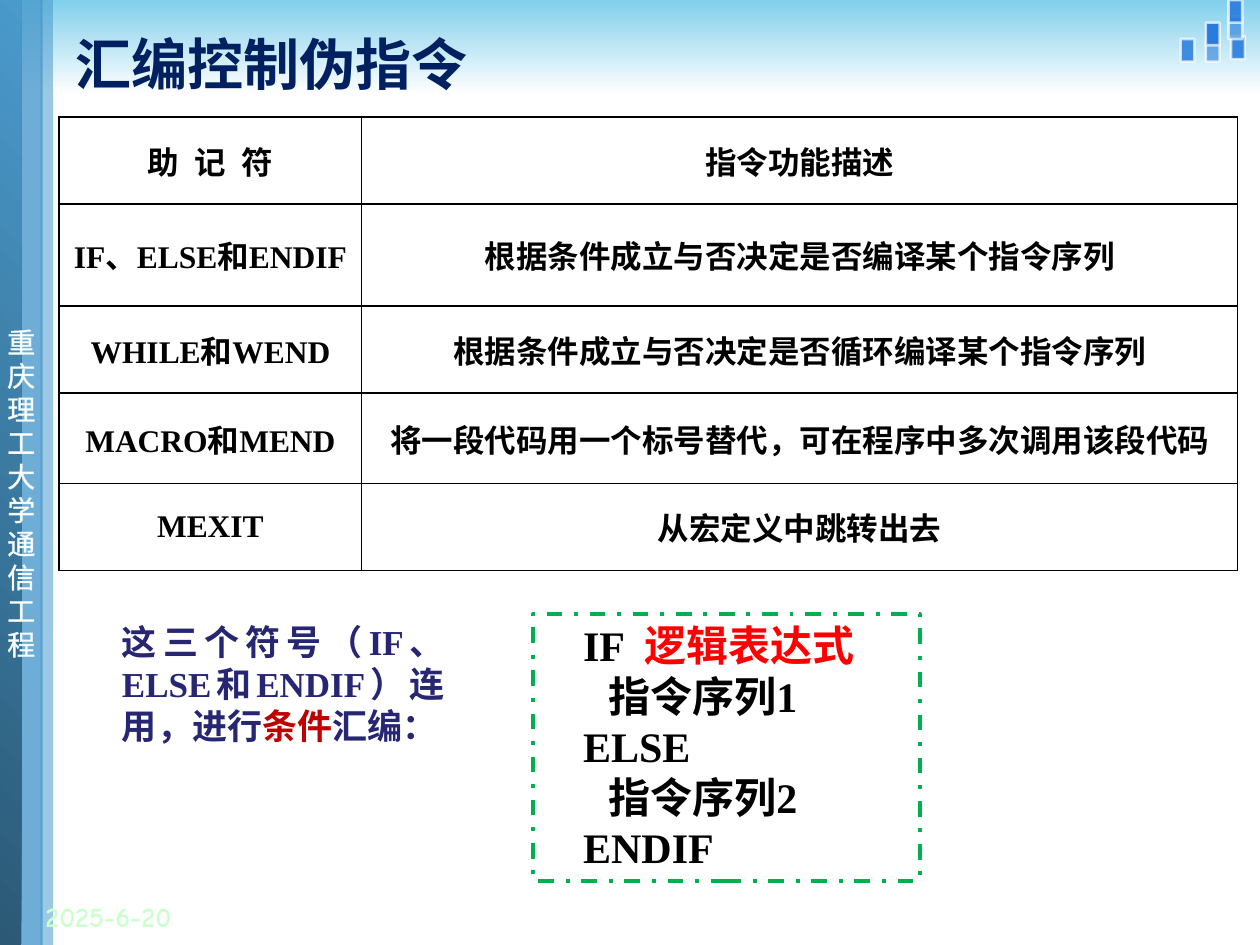
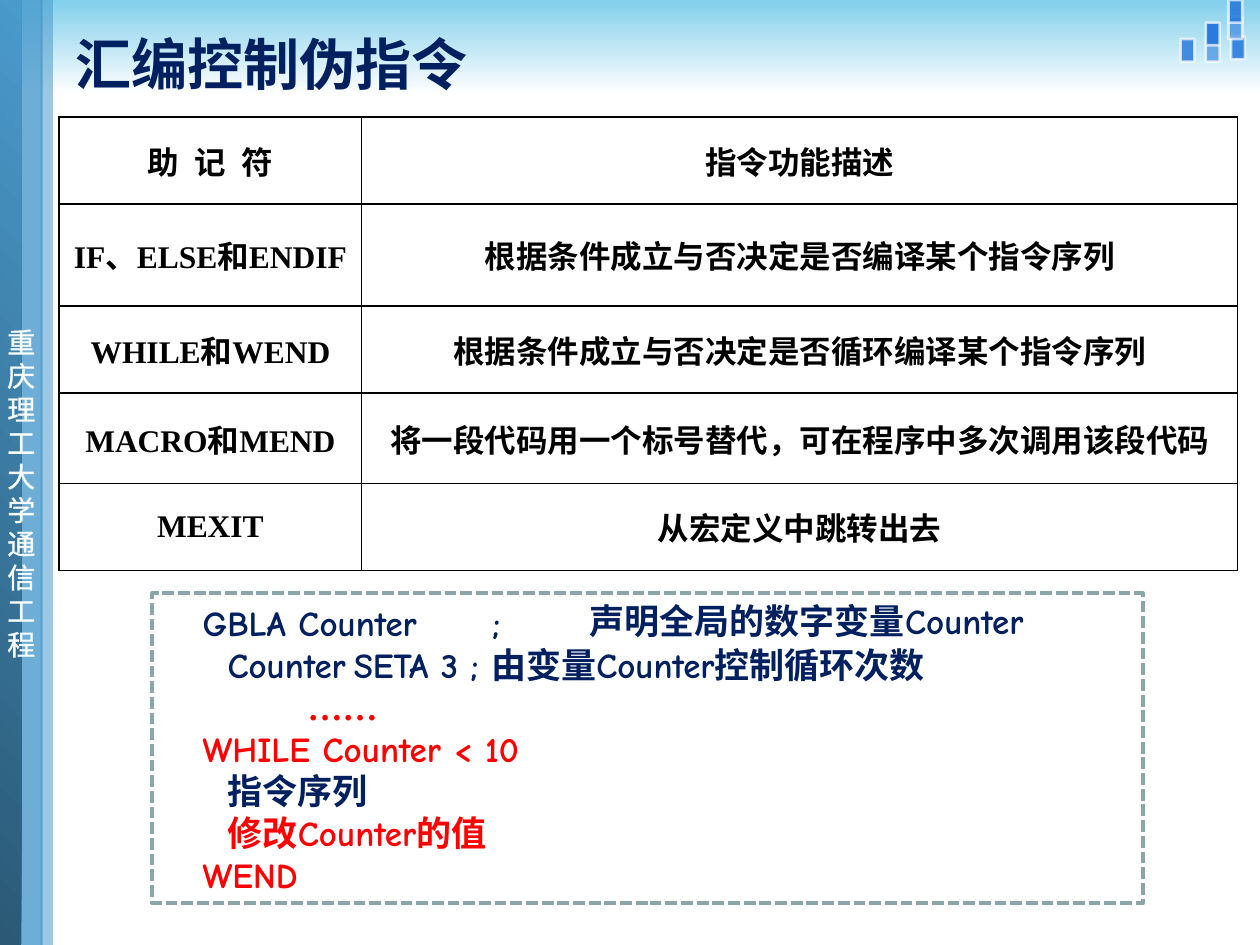
from pptx import Presentation
from pptx.dml.color import RGBColor
from pptx.enum.dml import MSO_LINE as Dash
from pptx.enum.shapes import MSO_SHAPE as Kind
from pptx.enum.text import MSO_ANCHOR as Anchor, MSO_AUTO_SIZE as Fit, PP_ALIGN as Align
from pptx.oxml import parse_xml
from pptx.oxml.ns import nsdecls, qn
from pptx.util import Pt

NAVY = RGBColor(0x00, 0x20, 0x60)
INDIGO = RGBColor(0x26, 0x26, 0x73)
BLACK = RGBColor(0, 0, 0)
WHITE = RGBColor(0xFF, 0xFF, 0xFF)
RED = RGBColor(0xFF, 0, 0)
CRIMSON = RGBColor(0xC0, 0, 0)
GREEN = RGBColor(0x00, 0xB0, 0x50)
SAGE = RGBColor(0x8A, 0xA6, 0xA8)
MINT = RGBColor(0xCD, 0xFF, 0xCD)
SKY = RGBColor(0x81, 0xCF, 0xEB)
STEEL = RGBColor(0x4A, 0x9A, 0xCC)
DEEP = RGBColor(0x2B, 0x59, 0x76)
BLUE = RGBColor(0x29, 0x7C, 0xDD)
GLOW = RGBColor(0xDA, 0xED, 0xEF)

ARIAL, COMIC, TIMES = "Arial", "Comic Neue", "Times New Roman"
INDENT = 21.6

# left, top, opacity
TILES = [(703.44, 20.88, 90), (689.04, 22.32, 60), (674.64, 22.32, 85),
         (689.04, 12.96, 100), (702, 9.36, 60), (702, 0, 90)]

COLS = [172.8, 500.4]
ROWS = [
    (49.68, "助 记 符", "指令功能描述"),
    (58.32, "IF、ELSE和ENDIF", "根据条件成立与否决定是否编译某个指令序列"),
    (49.68, "WHILE和WEND", "根据条件成立与否决定是否循环编译某个指令序列"),
    (51.84, "MACRO和MEND", "将一段代码用一个标号替代，可在程序中多次调用该段代码"),
    (49.68, "MEXIT", "从宏定义中跳转出去"),
]


def fade(host, pct):
    """Set the opacity of the solid fill held by an XML element."""
    color = host.find(qn("a:solidFill"))[0]
    color.append(parse_xml(f'<a:alpha {nsdecls("a")} val="{pct * 1000}"/>'))


def outline(tag, width, color):
    return parse_xml(f'<a:{tag} {nsdecls("a")} w="{Pt(width)}"><a:solidFill>'
                     f'<a:srgbClr val="{color}"/></a:solidFill></a:{tag}>')


def put(para, text, size=20, font=COMIC, color=NAVY, bold=True, edge=None, gap=0):
    """Add one run; edge is an outline colour, gap the letter spacing in points."""
    run = para.add_run()
    run.text = text
    face = run.font
    face.size, face.name, face.bold = Pt(size), font, bold
    face.color.rgb = color
    props = run.font._element
    if edge is not None:
        props.insert(0, outline("ln", 0.8, edge))
    if gap:
        props.set("spc", str(round(gap * 100)))


def write(frame, lines, align=Align.LEFT, anchor=Anchor.TOP, indent=0, **style):
    """Fill a frame; a line is a list of (text, overrides) runs."""
    frame.word_wrap = True
    frame.auto_size = Fit.NONE
    frame.vertical_anchor = anchor
    for num, line in enumerate(lines):
        para = frame.add_paragraph() if num else frame.paragraphs[0]
        para.alignment = align
        if indent:
            props = para._p.get_or_add_pPr()
            props.set("marL", "0")
            props.set("indent", str(Pt(indent)))
        for text, extra in line:
            put(para, text, **{**style, **extra})


class Deck:
    def __init__(self):
        self.prs = Presentation()
        self.prs.slide_width, self.prs.slide_height = Pt(720), Pt(540)
        self.slide = None

    def rect(self, *spot, fill=None, alpha=100, grad=None, angle=0):
        shape = self.slide.shapes.add_shape(Kind.RECTANGLE, *map(Pt, spot))
        shape.shadow.inherit = False
        shape.line.fill.background()
        if grad:
            shape.fill.gradient()
            shape.fill.gradient_angle = angle
            for stop, color in zip(shape.fill.gradient_stops, grad):
                stop.color.rgb = color
        elif fill is not None:
            shape.fill.solid()
            shape.fill.fore_color.rgb = fill
            if alpha < 100:
                fade(shape.element.spPr, alpha)
        else:
            shape.fill.background()
        return shape

    def tile(self, left, top, alpha):
        shape = self.rect(left, top, 7.92, 12.96, fill=BLUE, alpha=alpha)
        shape.line.color.rgb = WHITE
        shape.line.width = Pt(1.5)
        fade(shape.element.spPr.find(qn("a:ln")), 70)

    def text(self, *spot, lines, **style):
        box = self.slide.shapes.add_textbox(*map(Pt, spot))
        write(box.text_frame, lines, **style)

    def code(self, *spot, lines, edge, dash, **style):
        """A dashed frame around lines of code."""
        box = self.rect(*spot)
        box.line.color.rgb = edge
        box.line.width = Pt(2.25)
        box.line.dash_style = dash
        write(box.text_frame, lines, indent=INDENT, **style)

    def title(self, text):
        title = self.slide.shapes.title
        title.left, title.top, title.width, title.height = map(Pt, (36, 12.24, 612, 47.52))
        write(title.text_frame, [[(text, {})]], anchor=Anchor.MIDDLE, size=32)
        title.element.getparent().append(title.element)  # bring to the front

    def start(self, title):
        """Open a slide with the shared bands, tiles, side label and title."""
        self.slide = self.prs.slides.add_slide(self.prs.slide_layouts[5])
        self.rect(0, 0, 720, 54, grad=(SKY, WHITE), angle=270)
        for tile in TILES:
            self.tile(*tile)
        self.rect(7.92, 0, 16.56, 540, fill=STEEL, alpha=80)
        self.rect(0, 0, 12.24, 540, grad=(DEEP, STEEL), angle=45)
        self.rect(23.04, 0, 7.2, 540, fill=STEEL, alpha=54)
        self.text(-2.88, 182.16, 38.88, 200.88, lines=[[("重庆理工大学通信工程", {})]],
                  size=16, font=ARIAL, color=WHITE, bold=False, edge=GLOW)
        self.title(title)

    def table(self, left, top):
        high = sum(row[0] for row in ROWS)
        spot = map(Pt, (left, top, sum(COLS), high))
        table = self.slide.shapes.add_table(len(ROWS), len(COLS), *spot).table
        table.first_row = table.horz_banding = False
        for col, width in zip(table.columns, COLS):
            col.width = Pt(width)
        for r, (height, *texts) in enumerate(ROWS):
            table.rows[r].height = Pt(height)
            for c, text in enumerate(texts):
                self.cell(table.cell(r, c), text, font=TIMES if r else ARIAL,
                          gap=0 if r or c else 2.5)

    def cell(self, cell, text, **style):
        write(cell.text_frame, [[(text, {})]], align=Align.CENTER,
              size=18, color=BLACK, **style)
        cell.vertical_anchor = Anchor.MIDDLE
        cell.fill.background()
        props = cell._tc.get_or_add_tcPr()
        for num, side in enumerate(("lnL", "lnR", "lnT", "lnB")):
            props.insert(num, outline(side, 1, BLACK))


def main():
    deck = Deck()
    head = "汇编控制伪指令"
    red, navy = {"color": RED}, {"color": NAVY}

    deck.start(head)
    deck.text(62.64, 350.64, 198.72, 79.92, align=Align.JUSTIFY, anchor=Anchor.MIDDLE,
              font=TIMES, color=INDIGO, lines=[[
                  ("这三个符号（IF、ELSE和ENDIF）连用，进行", {}),
                  ("条件", {"color": CRIMSON}),
                  ("汇编：", {})]])
    deck.text(0, 510.48, 123.84, 22.32, lines=[[("2025-6-20", {})]],
              align=Align.CENTER, size=16, color=MINT)
    deck.table(33.84, 66.96)
    deck.code(304.56, 350.64, 221.04, 152.64, edge=GREEN, dash=Dash.DASH_DOT,
              size=24, font=TIMES, color=BLACK, lines=[
                  [("IF  ", {}), ("逻辑表达式", red)],
                  [("\t指令序列1", {})],
                  [("ELSE", {})],
                  [("\t指令序列2", {})],
                  [("ENDIF", {})]])

    deck.start(head)
    deck.table(33.84, 66.96)
    deck.code(87.12, 339.12, 565.92, 177.12, edge=SAGE, dash=Dash.SQUARE_DOT,
              anchor=Anchor.MIDDLE, color=RED, lines=[
                  [("GBLA Counter \t ;", navy)],
                  [("  Counter\tSETA 3 ; 由变量Counter控制循环次数", navy)],
                  [("            ……", {"font": TIMES})],
                  [("WHILE Counter < 10", {})],
                  [("\t指令序列", navy)],
                  [("\t修改Counter的值", {})],
                  [("WEND", {})]])
    deck.text(329.76, 339.12, 360, 31.68, lines=[[("声明全局的数字变量Counter", {})]])

    deck.prs.save("out.pptx")


if __name__ == "__main__":
    main()
